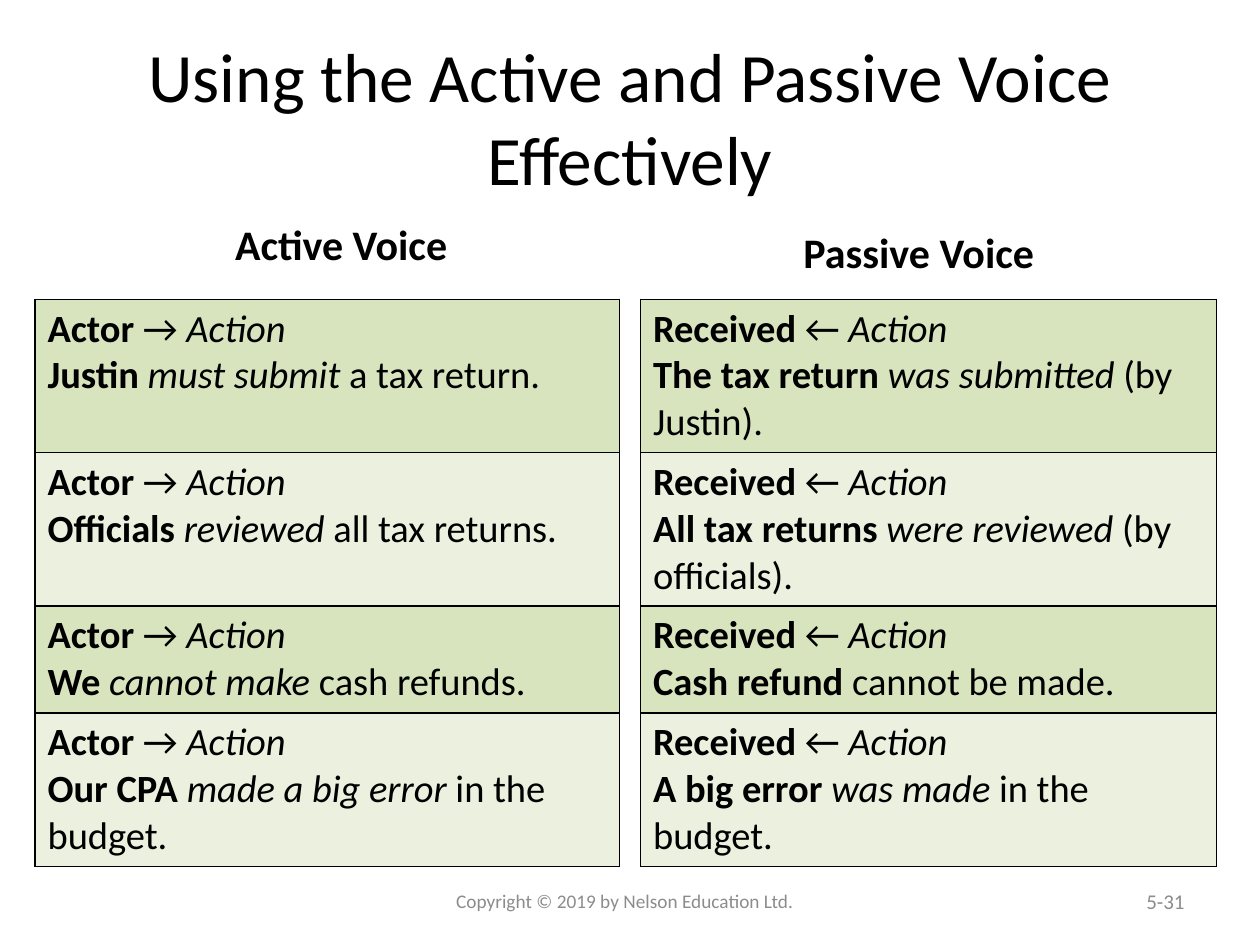
import pptx
import pptx.util
import pptx.dml.color
import pptx.enum.text
import pptx.oxml
import pptx.oxml.ns

Pt = pptx.util.Pt
RGB = pptx.dml.color.RGBColor.from_string
ALIGN = pptx.enum.text.PP_ALIGN
ANCHOR = pptx.enum.text.MSO_ANCHOR

THEME = {
    "font": "Calibri", "ink": "000000", "muted": "8C8C8C",
    "bands": ("D7E4BD", "EBF1DE"),
    "title": 39.6, "heading": 24, "cell": 22, "footer": 11, "number": 12,
}

# Content: each example is (bold subject, italic verb, plain rest)
TITLE = "Using the Active and Passive Voice Effectively"
FOOTER = "Copyright © 2019 by Nelson Education Ltd."
NUMBER = "5-31"
VOICES = [
    {"heading": "Active Voice", "heading_box": (36, 121, 318, 36),
     "left": 20, "width": 334, "pattern": ("Actor ", "→ ", "Action"),
     "examples": [
         ("Justin ", "must submit ", "a tax return."),
         ("Officials ", "reviewed", " all tax returns."),
         ("We ", "cannot make ", "cash refunds."),
         ("Our CPA ", "made a big error ", "in the budget."),
     ]},
    {"heading": "Passive Voice", "heading_box": (366, 121, 318, 40.5),
     "left": 366, "width": 329, "pattern": ("Received ", "← ", "Action"),
     "examples": [
         ("The tax return ", "was submitted ", "(by Justin)."),
         ("All tax returns ", "were reviewed ", "(by officials)."),
         ("Cash refund ", "", "cannot be made."),
         ("A big error ", "was made ", "in the budget."),
     ]},
]
TABLE_TOP = 171
ROW_HEIGHTS = (87.7, 87.7, 61, 87.7)


def add_run(p, text, size, color=THEME["ink"], **style):
    r = p.add_run()
    r.text = text
    for name, value in {"name": THEME["font"], "size": Pt(size), **style}.items():
        setattr(r.font, name, value)
    r.font.color.rgb = RGB(color)


def add_text(slide, text, box, size, anchor=ANCHOR.MIDDLE, align=ALIGN.CENTER, **style):
    tf = slide.shapes.add_textbox(*map(Pt, box)).text_frame
    tf.word_wrap = True
    tf.vertical_anchor = anchor
    p = tf.paragraphs[0]
    p.alignment = align
    add_run(p, text, size, **style)


def add_borders(cell):
    tc_pr = cell._tc.get_or_add_tcPr()
    for i, side in enumerate(("lnL", "lnR", "lnT", "lnB")):
        tc_pr.insert(i, pptx.oxml.parse_xml(
            f'<a:{side} {pptx.oxml.ns.nsdecls("a")} w="{Pt(1)}"><a:solidFill>'
            f'<a:srgbClr val="{THEME["ink"]}"/></a:solidFill></a:{side}>'))


def fill_cell(cell, pattern, example, color):
    cell.fill.solid()
    cell.fill.fore_color.rgb = RGB(color)
    add_borders(cell)
    bold, italic, plain = {"bold": True}, {"italic": True}, {}
    tf = cell.text_frame
    lines = [
        (tf.paragraphs[0], pattern, (bold, plain, italic)),
        (tf.add_paragraph(), example, (bold, italic, plain)),
    ]
    for p, texts, styles in lines:
        for text, style in zip(texts, styles):
            if text:
                add_run(p, text, THEME["cell"], **style)


def add_voice(slide, voice):
    add_text(slide, voice["heading"], voice["heading_box"], THEME["heading"],
             anchor=ANCHOR.BOTTOM, bold=True)
    box = (voice["left"], TABLE_TOP, voice["width"], sum(ROW_HEIGHTS))
    table = slide.shapes.add_table(len(ROW_HEIGHTS), 1, *map(Pt, box)).table
    table.first_row = table.horz_banding = False
    for i, (height, example) in enumerate(zip(ROW_HEIGHTS, voice["examples"])):
        table.rows[i].height = Pt(height)
        fill_cell(table.cell(i, 0), voice["pattern"], example, THEME["bands"][i % 2])


def main():
    prs = pptx.Presentation()
    prs.slide_width, prs.slide_height = Pt(720), Pt(540)
    slide = prs.slides.add_slide(prs.slide_layouts[6])

    # Title
    add_text(slide, TITLE, (36, 21.6, 648, 90), THEME["title"])

    # Headings and example tables
    for voice in VOICES:
        add_voice(slide, voice)

    # Footer and slide number
    add_text(slide, FOOTER, (243, 500.5, 228, 29), THEME["footer"], color=THEME["muted"])
    add_text(slide, NUMBER, (516, 500.5, 168, 29), THEME["number"],
             align=ALIGN.RIGHT, color=THEME["muted"])

    prs.save("out.pptx")


if __name__ == "__main__":
    main()
